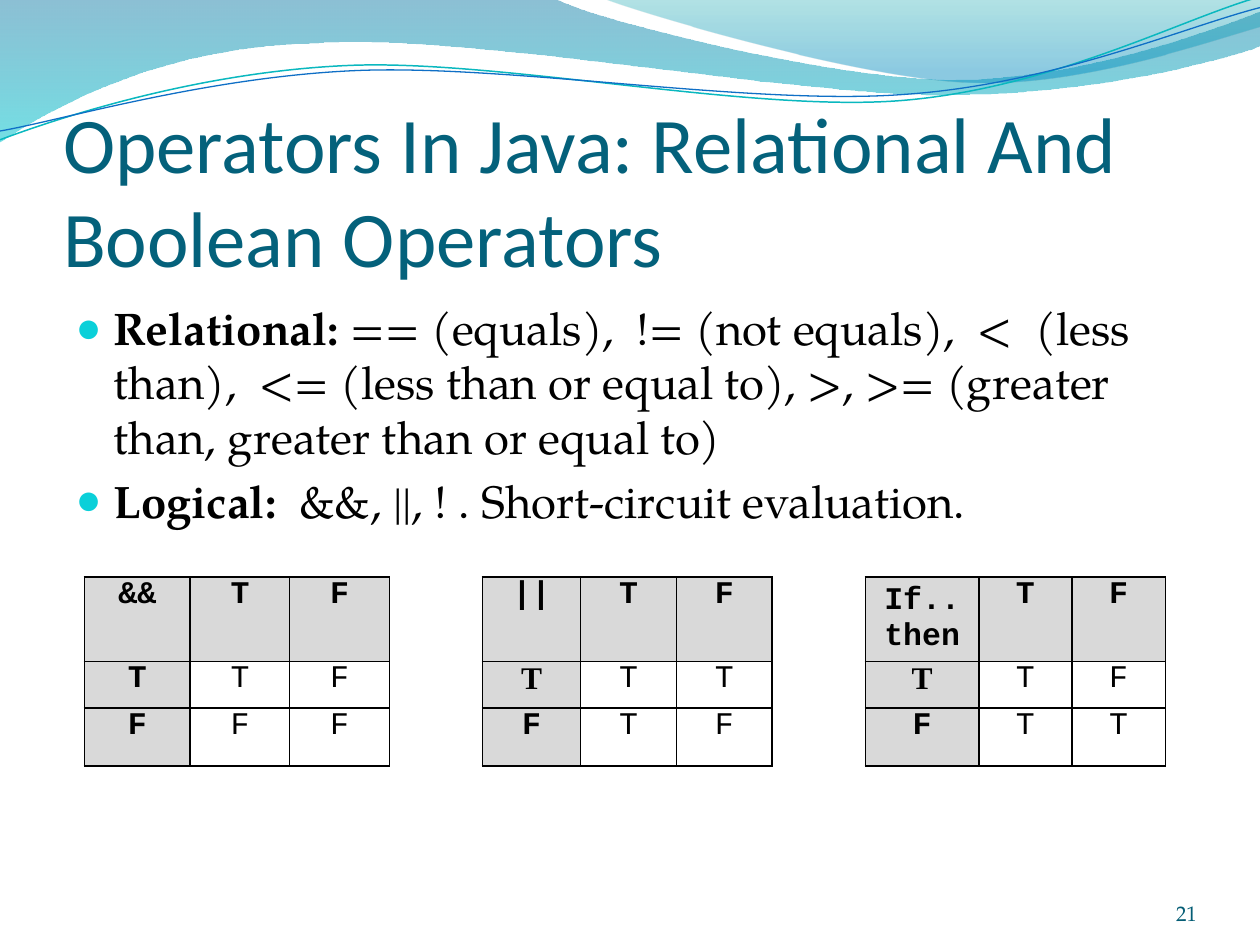
from math import cos, sin, radians
from pptx import Presentation
from pptx.dml.color import RGBColor
from pptx.enum.text import PP_ALIGN as Align, MSO_ANCHOR as Anchor, MSO_AUTO_SIZE as Fit
from pptx.oxml import parse_xml
from pptx.oxml.ns import nsdecls, qn
from pptx.util import Inches, Pt
from lxml.etree import SubElement as Sub

INK = {"black": "000000", "title": "04617B", "number": "045D75", "bullet": "0BD0D9",
       "head": "D9D9D9", "teal": "0AB8BF", "blue": "0F6FC6"}
SERIF, MONO = "TeX Gyre Pagella", "Courier New"


def color(name):
    return RGBColor.from_string(INK[name])


def style(font, face, size, ink, bold=None):
    font.name, font.size, font.bold = face, Pt(size), bold
    font.color.rgb = color(ink)


def place(shape, box):
    shape.left, shape.top, shape.width, shape.height = map(Inches, box)


def inset(frame, left, top, right, bottom):
    frame.margin_left, frame.margin_top = Inches(left), Inches(top)
    frame.margin_right, frame.margin_bottom = Inches(right), Inches(bottom)


# Curves: a two-number step is a line, a six-number step is a Bezier
def curve(slide, box, start, steps, close=False, turn=0):
    left, top, width, height = box
    pen = slide.shapes.build_freeform(Inches(start[0]), Inches(start[1]))
    pen.add_line_segments([(Inches(s[-2]), Inches(s[-1])) for s in steps], close=close)
    shape = pen.convert_to_shape()
    shape.shadow.inherit = False
    place(shape, box)
    shape.rotation = turn

    # Refill the outline, in the box's own unturned frame
    mid_x, mid_y = left + width / 2, top + height / 2
    c, s = cos(radians(turn)), sin(radians(turn))
    line = next(shape._element.iter(qn("a:path")))
    for part in list(line):
        line.remove(part)
    line.set("w", str(Inches(width)))
    line.set("h", str(Inches(height)))

    def draw(tag, nums):
        part = Sub(line, qn(tag))
        for x, y in zip(nums[::2], nums[1::2]):
            dx, dy = x - mid_x, y - mid_y
            Sub(part, qn("a:pt"), x=str(Inches(width / 2 + dx * c + dy * s)),
                y=str(Inches(height / 2 - dx * s + dy * c)))

    draw("a:moveTo", start)
    for step in steps:
        draw("a:lnTo" if len(step) == 2 else "a:cubicBezTo", step)
    if close:
        Sub(line, qn("a:close"))
    return shape


def band(slide, box, start, steps, stops):
    shape = curve(slide, box, start, steps, close=True)
    shape.line.fill.background()
    marks = "".join(f'<a:gs pos="{pos * 1000}"><a:srgbClr val="{ink}">'
                    f'<a:alpha val="{alpha * 1000}"/></a:srgbClr></a:gs>'
                    for pos, ink, alpha in stops)
    fill = parse_xml(f'<a:gradFill {nsdecls("a")} rotWithShape="1"><a:gsLst>{marks}</a:gsLst>'
                     '<a:lin ang="5400000" scaled="0"/></a:gradFill>')
    shape._element.spPr.find(qn("a:custGeom")).addnext(fill)


def wave(slide, box, start, steps, ink, width):
    shape = curve(slide, box, start, steps, turn=357.3)
    shape.fill.background()
    shape.line.color.rgb = color(ink)
    shape.line.width = Pt(width)


def waves(slide):
    band(slide, (-.01, -.01, 10.02, 1.14), (0, 0), [
        (4.4, -.01), (4.76, .17, 6.64, .63, 7.58, .63), (8.53, .63, 9.58, .26, 10, .09),
        (10.01, .36), (9.83, .44, 8.7, .76, 7.46, .75), (6.22, .75, 3.82, .28, 2.57, .34),
        (1.29, .36, .46, .83, -.01, 1.13), (0, 0)],
        [(0, "0074A1", 45), (100, "00C6CF", 55)])
    band(slide, (4.79, -.01, 5.21, .7), (4.79, -.01), [
        (5.09, .11, 6.82, .62, 7.69, .65), (8.56, .69, 9.61, .32, 10, .21),
        (10, 0), (4.79, -.01)],
        [(0, "00A1A9", 30), (80, "008BBF", 45)])
    wave(slide, (-.02, .22, 10.02, .71), (0, 1.11), [
        (.48, .93, 1.58, .57, 2.77, .52), (3.95, .47, 5.93, .89, 7.13, .8),
        (8.33, .71, 9.38, .15, 9.98, -.02)], "teal", .85)
    wave(slide, (-.02, .3, 10.03, .58), (0, 1.04), [
        (.47, .96, 1.64, .61, 2.83, .56), (4.03, .51, 5.97, .84, 7.17, .75),
        (8.36, .67, 9.41, .21, 10, .06)], "blue", .75)


# Text regions
def heading(slide, box, text):
    title = slide.shapes.title
    place(title, box)
    frame = title.text_frame
    frame.text = text
    frame.auto_size, frame.vertical_anchor = Fit.NONE, Anchor.BOTTOM
    inset(frame, 0, .05, 0, 0)
    para = frame.paragraphs[0]
    para.alignment = Align.LEFT
    style(para.font, "Calibri", 45, "title")


def bullet(para):
    props = para._p.get_or_add_pPr()
    props.set("marL", str(Inches(.3)))
    props.set("indent", str(Inches(-.3)))
    Sub(Sub(props, qn("a:buClr")), qn("a:srgbClr"), val=INK["bullet"])
    Sub(props, qn("a:buSzPct"), val="95000")
    Sub(props, qn("a:buFont"), typeface="Arial")
    Sub(props, qn("a:buChar"), char="\u25cf")


def points(slide, box, items):
    body = slide.placeholders[1]
    place(body, box)
    frame = body.text_frame
    frame.auto_size = Fit.NONE
    for i, (term, rest) in enumerate(items):
        para = frame.add_paragraph() if i else frame.paragraphs[0]
        para.space_before = Pt(5.2)
        bullet(para)
        style(para.font, SERIF, 26, "black")
        for text, bold in ((term, True), (rest, False)):
            run = para.add_run()
            run.text, run.font.bold = text, bold


def number(slide, box, text):
    frame = slide.shapes.add_textbox(*map(Inches, box)).text_frame
    frame.word_wrap, frame.vertical_anchor = True, Anchor.BOTTOM
    inset(frame, 0, 0, 0, 0)
    para = frame.paragraphs[0]
    para.text, para.alignment = text, Align.RIGHT
    style(para.font, SERIF, 12, "number")


# Truth tables: one grid, with open gap columns
def border(cell, sides):
    props = cell._tc.get_or_add_tcPr()
    for i, side in enumerate("LRTB"):
        edge = f'<a:ln{side} {nsdecls("a")} w="12700">'
        if side in sides:
            edge += f'<a:solidFill><a:srgbClr val="{INK["black"]}"/></a:solidFill>'
        else:
            edge += "<a:noFill/>"
        props.insert(i, parse_xml(f"{edge}</a:ln{side}>"))


def truth(slide, box, widths, heights, rows):
    grid = slide.shapes.add_table(len(rows), len(widths), *map(Inches, box)).table
    grid.first_row = grid.horz_banding = False
    for col, width in zip(grid.columns, widths):
        col.width = Inches(width)
    for line, height in zip(grid.rows, heights):
        line.height = Inches(height)
    for r, row in enumerate(rows):
        for c, text in enumerate(row):
            cell = grid.cell(r, c)
            gap, head = c % 4 == 3, r == 0 or c % 4 == 0
            inset(cell, .07, 0, .07, 0)
            if head and not gap:
                cell.fill.solid()
                cell.fill.fore_color.rgb = color("head")
            else:
                cell.fill.background()
            border(cell, "LR" if gap else "LRTB")
            if gap:
                continue
            cell.text = text
            if "\v" in text:
                cell.vertical_anchor = Anchor.MIDDLE
            para = cell.text_frame.paragraphs[0]
            para.alignment = Align.CENTER
            face = "Times New Roman" if r == 1 and c in (4, 8) else MONO
            style(para.font, face, 18, "black", head)


deck = Presentation()
deck.slide_width, deck.slide_height = Inches(10), Inches(7.5)
slide = deck.slides.add_slide(deck.slide_layouts[1])
waves(slide)
heading(slide, (.5, 1, 9, 1.25), "Operators In Java: Relational And Boolean Operators")
points(slide, (.5, 2.33, 9, 4.8), [
    ("Relational:", " == (equals),  != (not equals),  <  (less than),  <= (less than or "
                    "equal to), >, >= (greater than, greater than or equal to)"),
    ("Logical: ", " &&, ||, ! . Short-circuit evaluation.")])
number(slide, (8.67, 6.95, .83, .4), "21")
truth(slide, (.67, 4.58, 8.58, 1.5),
      [.84, .79, .79, .74, .78, .76, .76, .74, .9, .74, .74], [.67, .37, .46],
      [["&&", "T", "F", "", "||", "T", "F", "", "If..\vthen", "T", "F"],
       ["T", "T", "F", "", "T", "T", "T", "", "T", "T", "F"],
       ["F", "F", "F", "", "F", "T", "F", "", "F", "T", "T"]])
deck.save("out.pptx")
